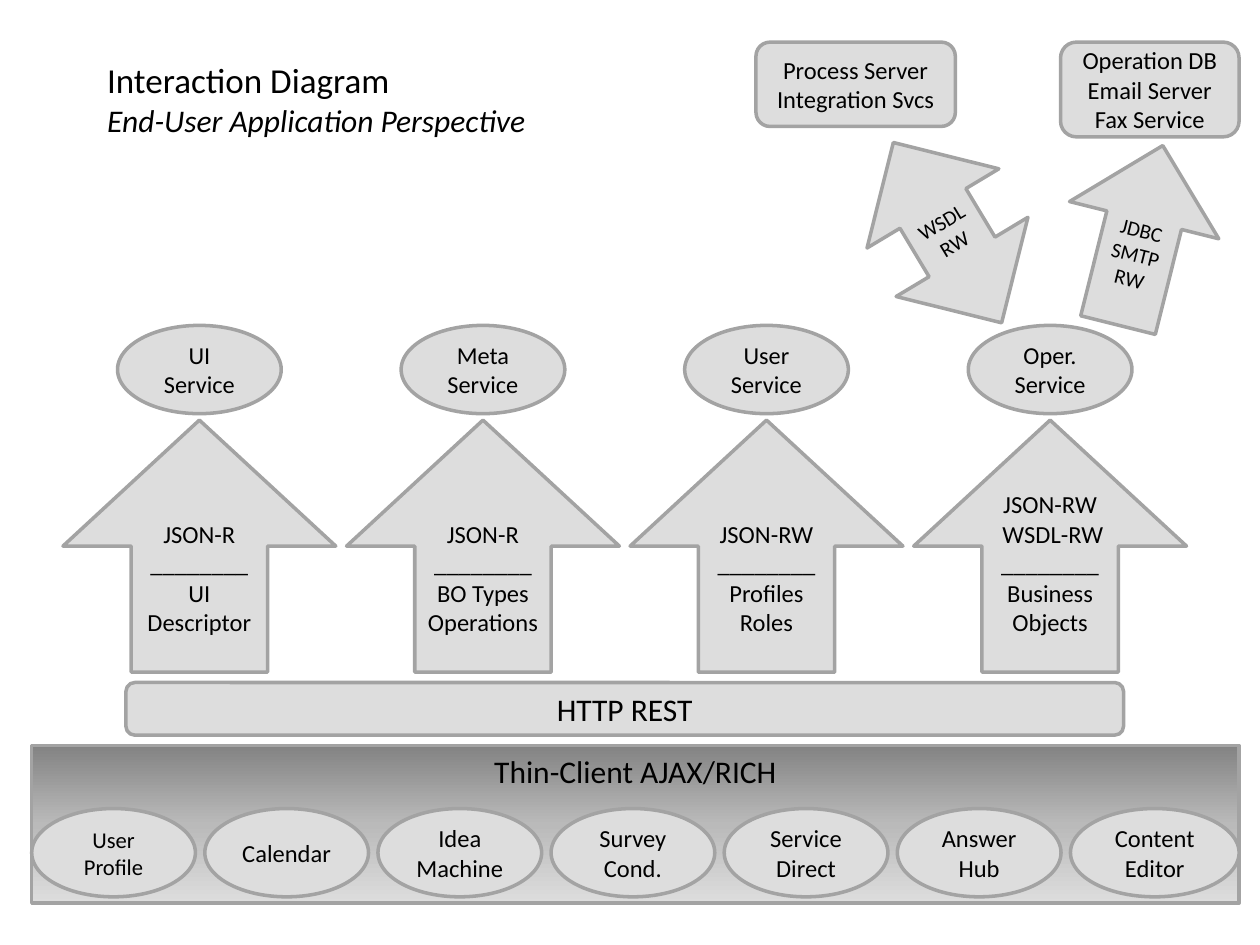
from copy import deepcopy
from pptx import Presentation
from pptx.dml.color import RGBColor
from pptx.enum.shapes import MSO_SHAPE
from pptx.enum.text import MSO_ANCHOR, PP_ALIGN
from pptx.oxml.ns import qn
from pptx.util import Cm, Pt


def tint(code):
    """Turn a hex string into a colour."""
    return RGBColor.from_string(code)


def write(frame, text, size, align=PP_ALIGN.CENTER):
    """Fill a text frame with evenly styled paragraphs."""
    frame.word_wrap = True
    frame.text = text
    for para in frame.paragraphs:
        para.alignment = align
        for run in para.runs:
            run.font.name = "Calibri"
            run.font.size = Pt(size)
            run.font.color.rgb = tint("000000")


def node(slide, kind, box, text, size=14, turn=0):
    """Add a grey outlined shape with centred text."""
    part = slide.shapes.add_shape(kind, *map(Cm, box))
    part.shadow.inherit = False
    part.rotation = turn
    part.fill.solid()
    part.fill.fore_color.rgb = tint("DDDDDD")
    part.line.color.rgb = tint("A3A3A3")
    part.line.width = Pt(2)
    part.text_frame.vertical_anchor = MSO_ANCHOR.MIDDLE
    write(part.text_frame, text, size)
    return part


def shade(part, codes):
    """Fill a shape with an even gradient from top to bottom."""
    part.fill.gradient()
    part.fill.gradient_angle = 270
    stops = part._element.spPr.find(".//" + qn("a:gsLst"))
    while len(stops) < len(codes):
        stops.append(deepcopy(stops[0]))
    for i, (stop, code) in enumerate(zip(part.fill.gradient_stops, codes)):
        stop.color.rgb = tint(code)
        stop.position = i / (len(codes) - 1)


def title(slide, left, top, width, height):
    """Place the heading and its italic subtitle."""
    frame = slide.shapes.add_textbox(*map(Cm, (left, top, width, height))).text_frame
    write(frame, "Interaction Diagram\nEnd-User Application Perspective", 18, PP_ALIGN.LEFT)
    head, sub = frame.paragraphs
    head.runs[0].font.size = Pt(20)
    sub.runs[0].font.italic = True


def client(slide, left, top, width, height):
    """Place the thin client panel with its row of modules."""
    panel = node(slide, MSO_SHAPE.RECTANGLE, (left, top, width, height), "Thin-Client AJAX/RICH", 18)
    panel.text_frame.vertical_anchor = MSO_ANCHOR.TOP
    shade(panel, ("838383", "BABABA", "DDDDDD"))
    names = ("User\nProfile", "Calendar", "Idea Machine", "Survey Cond.",
             "Service Direct", "Answer Hub", "Content Editor")
    step = 3.49
    for i, name in enumerate(names):
        wide = width - step * i if i == len(names) - 1 else 3.3
        size = 12.9 if i == 0 else 14
        node(slide, MSO_SHAPE.OVAL, (left + step * i, top + 1.27, wide, 1.78), name, size)


def services(slide, left, top, width, height):
    """Place the services, each above the arrow that feeds it."""
    rows = (
        ("UI Service", "JSON-R", "UI Descriptor"),
        ("Meta Service", "JSON-R", "BO Types\nOperations"),
        ("User Service", "JSON-RW", "Profiles\nRoles"),
        ("Oper. Service", "JSON-RW\n WSDL-RW", "Business Objects"),
    )
    wide, oval, drop = 5.5, 3.3, 1.91
    step = (width - wide) / (len(rows) - 1)
    for i, (name, link, data) in enumerate(rows):
        x = left + step * i
        node(slide, MSO_SHAPE.OVAL, (x + (wide - oval) / 2, top, oval, 1.78), name, 13.9)
        arrow = node(slide, MSO_SHAPE.UP_ARROW, (x, top + drop, wide, height - drop),
                     f"{link}\n________\n{data}")
    arrow.text_frame.margin_bottom = Cm(0.72)


def servers(slide, left, top, width, height):
    """Place the back-end servers and the slanted arrows to them."""
    wide = 3.6
    node(slide, MSO_SHAPE.ROUNDED_RECTANGLE, (left, top, 4.02, 1.7),
         "Process Server\nIntegration Svcs")
    node(slide, MSO_SHAPE.ROUNDED_RECTANGLE, (left + width - wide, top, wide, 1.91),
         "Operation DB\nEmail Server\nFax Service")
    node(slide, MSO_SHAPE.UP_ARROW, (left + 6.2, top + 2.03, 3.1, 3.73),
         "JDBC SMTP\nRW", 12, 14)
    node(slide, MSO_SHAPE.UP_DOWN_ARROW, (left + 2.31, top + 1.72, 3.1, height - 1.72),
         "WSDL\nRW", 12, 329)


def main():
    """Build the slide and save it."""
    deck = Presentation()
    deck.slide_width, deck.slide_height = Cm(25.4), Cm(19.05)
    slide = deck.slides.add_slide(deck.slide_layouts[6])
    client(slide, 0.64, 15.03, 24.34, 3.18)
    services(slide, 1.27, 6.56, 22.65, 6.99)
    node(slide, MSO_SHAPE.ROUNDED_RECTANGLE, (2.54, 13.76, 20.11, 1.06), "HTTP REST", 18)
    servers(slide, 15.24, 0.85, 9.74, 5.96)
    title(slide, 1.91, 1.06, 11.43, 1.88)
    deck.save("out.pptx")


if __name__ == "__main__":
    main()
